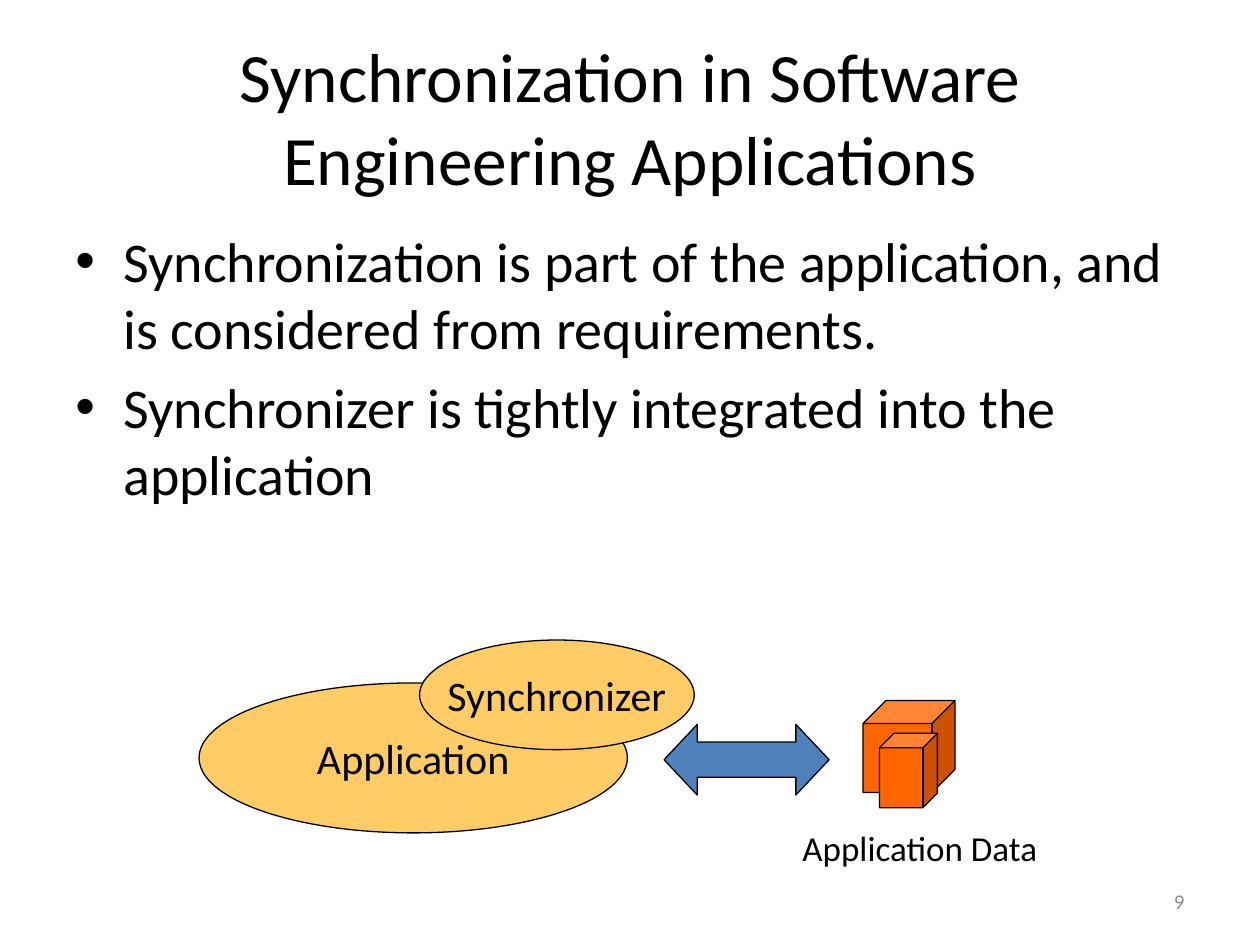
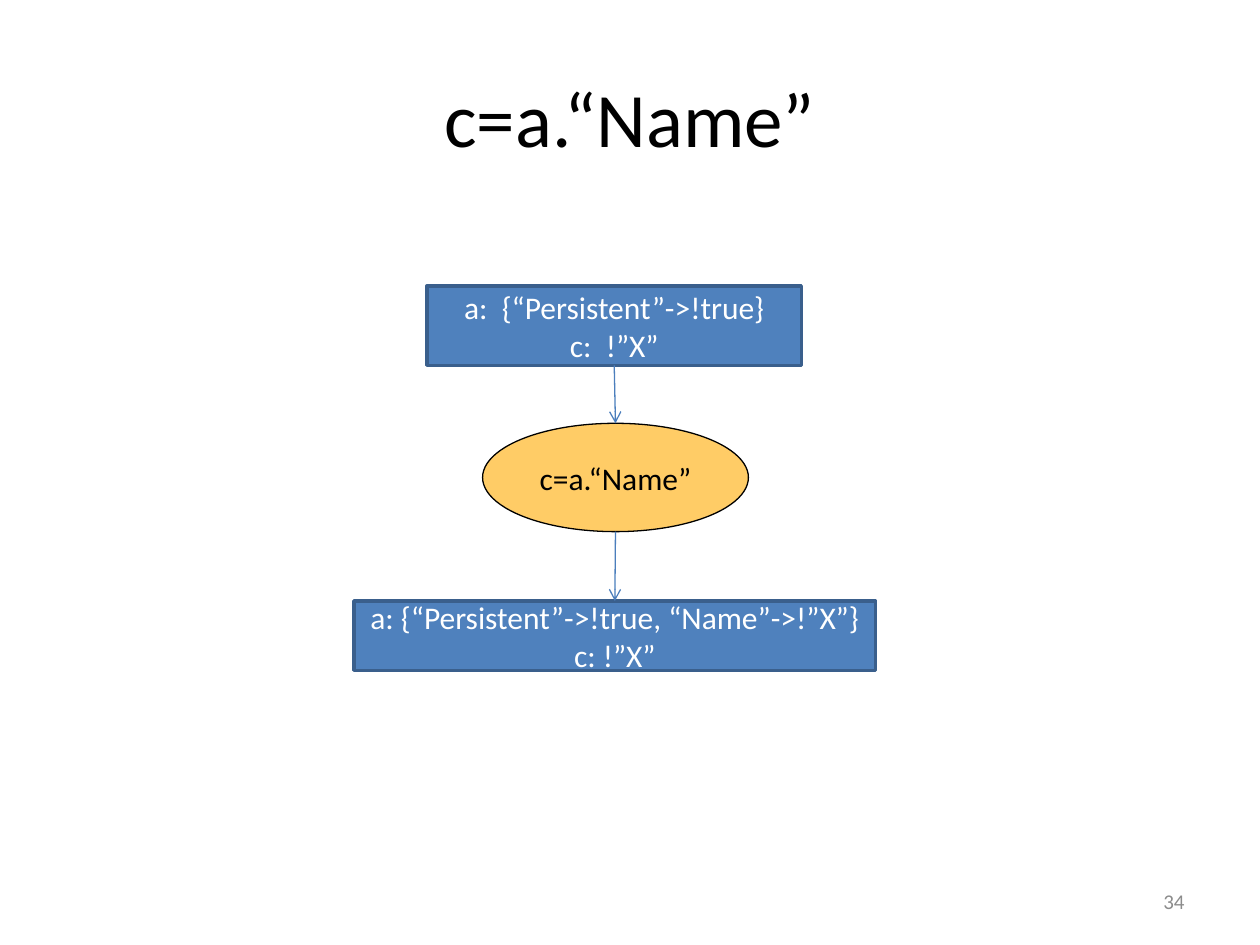
import dataclasses

import lxml.etree
import pptx
import pptx.dml.color
import pptx.enum.shapes
import pptx.enum.text
import pptx.oxml.ns
import pptx.util

Inches = pptx.util.Inches
Pt = pptx.util.Pt
SHAPE = pptx.enum.shapes.MSO_SHAPE
ALIGN = pptx.enum.text.PP_ALIGN
ANCHOR = pptx.enum.text.MSO_ANCHOR
qn = pptx.oxml.ns.qn


@dataclasses.dataclass(frozen=True)
class Theme:
    """Colours and type sizes of the deck."""
    font: str = "Calibri"
    black: str = "000000"
    white: str = "FFFFFF"
    grey: str = "8C8C8C"
    amber: str = "FFCC66"
    orange: str = "FF6600"
    blue: str = "4F81BD"
    border: str = "3A5F8C"
    arrow: str = "4B7EBC"
    title: float = 44
    long_title: float = 39.6
    body: float = 32
    node: float = 24
    caption: float = 20
    code: float = 18
    number: float = 12
    thin: float = 0.75
    thick: float = 2


T = Theme()


def rgb(value):
    """Return a colour object for a hex value."""
    return pptx.dml.color.RGBColor.from_string(value)


def apply(obj, formats):
    """Set each attribute named in a dict of format values."""
    for name, value in formats.items():
        setattr(obj, name, value)


def write(shape, lines, size, color=T.black, align=ALIGN.CENTER,
          anchor=ANCHOR.MIDDLE, wrap=True):
    """Write one paragraph per line into a shape."""
    tf = shape.text_frame
    apply(tf, {"word_wrap": wrap, "vertical_anchor": anchor})
    for i, line in enumerate(lines):
        p = tf.add_paragraph() if i else tf.paragraphs[0]
        p.alignment = align
        r = p.add_run()
        r.text = line
        apply(r.font, {"name": T.font, "size": Pt(size)})
        r.font.color.rgb = rgb(color)
    return tf


def add_text(s, box, lines, size, **formats):
    """Add a text box."""
    return write(s.shapes.add_textbox(*map(Inches, box)), lines, size, **formats)


def add_bullets(s, box, lines):
    """Add a bulleted body text with hanging indents."""
    tf = add_text(s, box, lines, T.body, align=ALIGN.LEFT, anchor=ANCHOR.TOP)
    for p in tf.paragraphs:
        p.space_before = Pt(0.2 * T.body)
        pPr = p._p.get_or_add_pPr()
        pPr.set("marL", str(Inches(0.38)))
        pPr.set("indent", str(-Inches(0.38)))
        lxml.etree.SubElement(pPr, qn("a:buFont")).set("typeface", "Arial")
        lxml.etree.SubElement(pPr, qn("a:buChar")).set("char", "•")


def add_shape(s, kind, box, fill, line=T.black, width=T.thin, adjustments=()):
    """Add a filled and outlined preset shape."""
    sp = s.shapes.add_shape(kind, *map(Inches, box))
    sp.shadow.inherit = False
    sp.fill.solid()
    sp.fill.fore_color.rgb = rgb(fill)
    sp.line.color.rgb = rgb(line)
    sp.line.width = Pt(width)
    for i, value in enumerate(adjustments):
        sp.adjustments[i] = value
    return sp


def add_ellipse(s, box, label, size):
    """Add an amber ellipse with a label."""
    sp = add_shape(s, SHAPE.OVAL, box, T.amber)
    write(sp, [label], size, wrap=False)
    return sp


def add_state(s, box, lines):
    """Add a blue box that lists variable states."""
    sp = add_shape(s, SHAPE.RECTANGLE, box, T.blue, T.border, T.thick)
    write(sp, lines, T.code, T.white)
    return sp


def add_arrow(s, upper, lower):
    """Add an arrow from the bottom of one shape to the top of another."""
    cx = s.shapes.add_connector(
        pptx.enum.shapes.MSO_CONNECTOR.STRAIGHT,
        upper.left + upper.width // 2, upper.top + upper.height,
        lower.left + lower.width // 2, lower.top)
    cx.line.color.rgb = rgb(T.arrow)
    cx.line.width = Pt(T.thin)
    lxml.etree.SubElement(cx.line._get_or_add_ln(), qn("a:tailEnd")).set("type", "arrow")
    lxml.etree.SubElement(cx._element.spPr, qn("a:effectLst"))


def add_slide(prs, title, number, size=T.title):
    """Add a blank slide with the shared title and slide number."""
    s = prs.slides.add_slide(prs.slide_layouts[6])
    add_text(s, (0.5, 0.3, 9, 1.25), [title], size)
    add_text(s, (7.17, 6.95, 2.33, 0.4), [str(number)], T.number,
             color=T.grey, align=ALIGN.RIGHT)
    return s


def build_synchronization(prs):
    """Build the slide on the synchronizer inside an application."""
    s = add_slide(prs, "Synchronization in Software Engineering Applications",
                  9, T.long_title)
    add_bullets(s, (0.5, 1.75, 9, 4.95), [
        "Synchronization is part of the application, and is considered from requirements.",
        "Synchronizer is tightly integrated into the application"])
    add_ellipse(s, (1.58, 5.42, 3.4, 1.19), "Application", T.node)
    add_ellipse(s, (3.33, 5.08, 2.18, 0.87), "Synchronizer", T.node)
    for box in ((6.85, 5.56, 0.73, 0.73), (6.98, 5.82, 0.46, 0.59)):
        add_shape(s, SHAPE.CUBE, box, T.orange, adjustments=(0.25,))
    add_shape(s, SHAPE.LEFT_RIGHT_ARROW, (5.27, 5.75, 1.31, 0.56), T.blue,
              adjustments=(0.5, 0.47))
    add_text(s, (6.27, 6.51, 2.09, 0.44), ["Application Data"], T.caption,
             align=ALIGN.LEFT, anchor=ANCHOR.TOP, wrap=False)


def build_assignment(prs):
    """Build the slide on the states around an assignment."""
    statement = "c=a.“Name”"
    s = add_slide(prs, statement, 34)
    step = add_ellipse(s, (3.83, 3.36, 2.11, 0.86), statement, T.code)
    before = add_state(s, (3.39, 2.27, 2.97, 0.63),
                       ["a:  {“Persistent”->!true}", "c:  !”X”"])
    after = add_state(s, (2.81, 4.77, 4.14, 0.55),
                      ["a: {“Persistent”->!true, “Name”->!”X”}", "c: !”X”"])
    add_arrow(s, before, step)
    add_arrow(s, step, after)


def main():
    """Build and save the deck."""
    prs = pptx.Presentation()
    apply(prs, {"slide_width": Inches(10), "slide_height": Inches(7.5)})
    build_synchronization(prs)
    build_assignment(prs)
    prs.save("out.pptx")


main()
